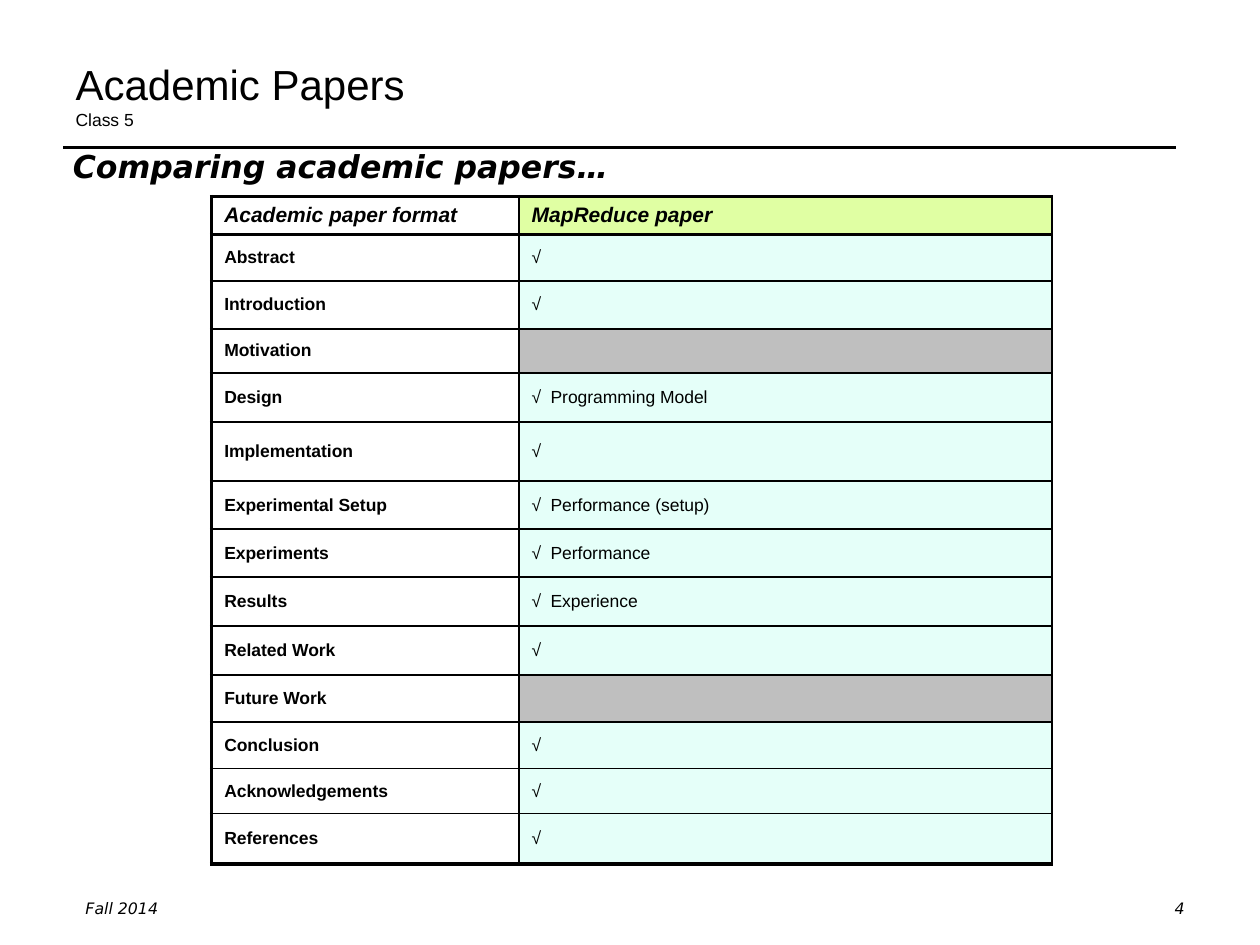
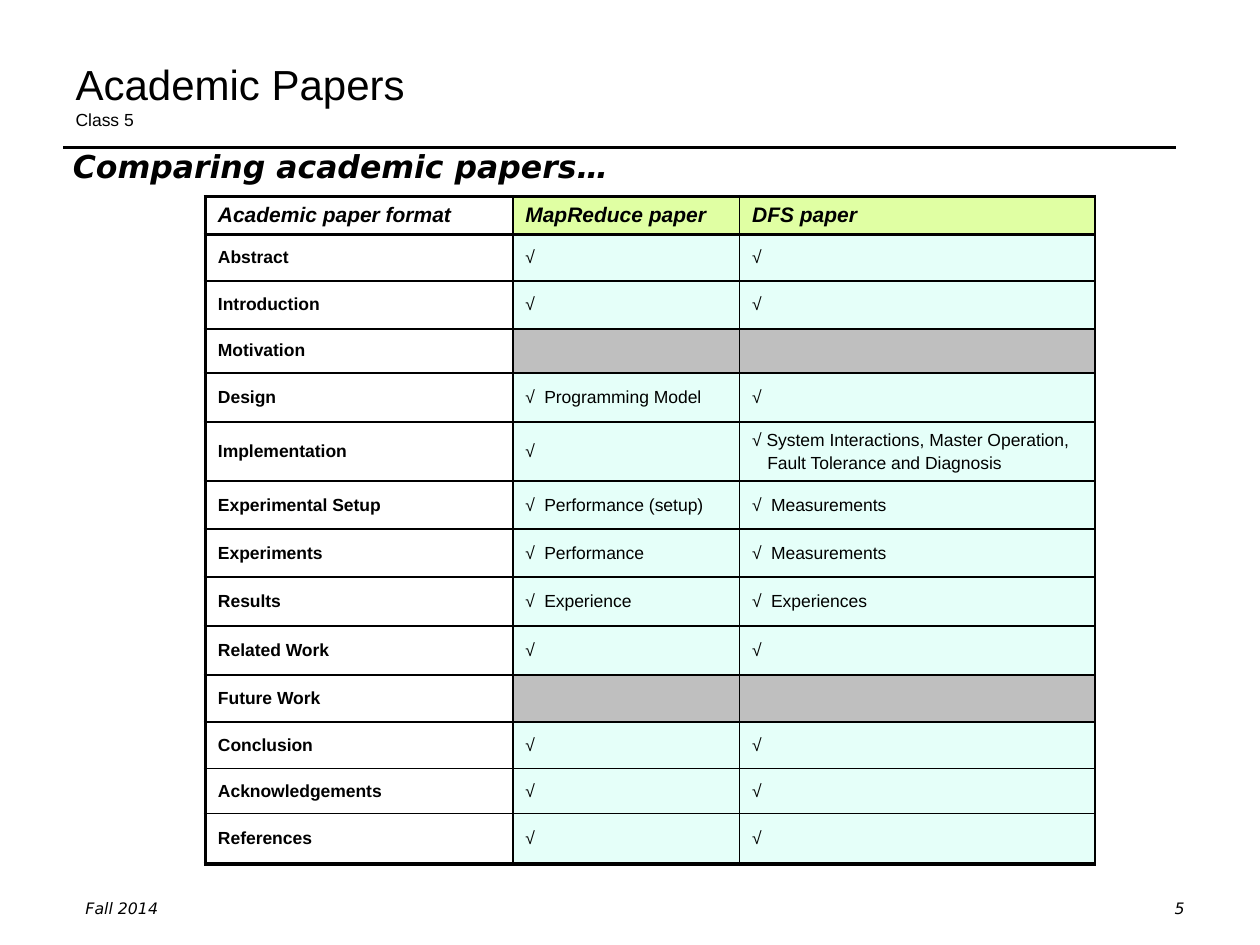
import pptx
import pptx.util
import pptx.dml.color
import pptx.enum.shapes
import pptx.enum.text
import pptx.oxml
import pptx.oxml.ns
import lxml.etree

Inches, Pt = pptx.util.Inches, pptx.util.Pt
ALIGN, ANCHOR = pptx.enum.text.PP_ALIGN, pptx.enum.text.MSO_ANCHOR
BLACK, WHITE, LIME, MINT, GREY = "000000", "FFFFFF", "CCFF66", "00FFCC", "BFBFBF"
SANS, WIDE = "Arial", "DejaVu Sans"
THIN, THICK = 1, 2.25

HEIGHTS = [0.3, 0.37, 0.38, 0.35, 0.39, 0.47, 0.38, 0.38, 0.39, 0.39, 0.37, 0.37, 0.36, 0.4]
PARTS = ["Academic paper format", "Abstract", "Introduction", "Motivation", "Design",
         "Implementation", "Experimental Setup", "Experiments", "Results", "Related Work",
         "Future Work", "Conclusion", "Acknowledgements", "References"]
TICK = "√"
REDUCE = ["MapReduce paper", TICK, TICK, "", "√\tProgramming Model", TICK,
          "√\tPerformance (setup)", "√\tPerformance", "√\tExperience",
          TICK, "", TICK, TICK, TICK]
FILES = ["DFS paper", TICK, TICK, "", TICK,
         "√ System Interactions, Master Operation,\nFault Tolerance and Diagnosis",
         "√\tMeasurements", "√\tMeasurements", "√\tExperiences",
         TICK, "", TICK, TICK, TICK]


def color(code):
    return pptx.dml.color.RGBColor.from_string(code)


def style(font, size, name=SANS, bold=False, italic=False):
    font.size, font.name = Pt(size), name
    font.bold, font.italic = bold, italic
    font.color.rgb = color(BLACK)


def add_text(slide, text, box, size, bold=False, align=ALIGN.LEFT):
    shape = slide.shapes.add_textbox(*map(Inches, box))
    shape.text_frame.word_wrap = True
    para = shape.text_frame.paragraphs[0]
    para.text, para.alignment = text, align
    style(para.font, size, WIDE, bold, True)


def add_rule(slide):
    rule = slide.shapes.add_connector(pptx.enum.shapes.MSO_CONNECTOR.STRAIGHT,
                                      Inches(0.5), Inches(1.17), Inches(9.33), Inches(1.17))
    rule.line.color.rgb = color(BLACK)
    rule.line.width = Pt(1.5)
    lxml.etree.SubElement(rule._element.spPr, pptx.oxml.ns.qn("a:effectLst"))


def set_title(slide):
    title = slide.shapes.title
    title.left, title.top, title.width, title.height = map(Inches, (0.5, 0.3, 9, 0.78))
    frame = title.text_frame
    frame.auto_size = pptx.enum.text.MSO_AUTO_SIZE.NONE
    frame.vertical_anchor = ANCHOR.BOTTOM
    para = frame.paragraphs[0]
    para.alignment = ALIGN.LEFT
    for text, size in (("Academic Papers", 24), ("Class 5", 10)):
        if para.runs:
            para.add_line_break()
        run = para.add_run()
        run.text = text
        style(run.font, size)


def set_edges(cell, left, top, right, bottom):
    props = cell._tc.get_or_add_tcPr()
    for side, width in zip("LRTB", (left, right, top, bottom)):
        props.append(pptx.oxml.parse_xml(
            f'<a:ln{side} {pptx.oxml.ns.nsdecls("a")} w="{Pt(width)}">'
            f'<a:solidFill><a:srgbClr val="{BLACK}"/></a:solidFill></a:ln{side}>'))


def set_fill(cell, code, alpha):
    cell.fill.solid()
    cell.fill.fore_color.rgb = color(code)
    if alpha < 100:
        tag = pptx.oxml.ns.qn
        tint = cell._tc.tcPr.find(tag("a:solidFill")).find(tag("a:srgbClr"))
        lxml.etree.SubElement(tint, tag("a:alpha")).set("val", str(alpha * 1000))


def indent(para, left, first):
    props = para._p.get_or_add_pPr()
    props.set("marL", str(Inches(left)))
    props.set("indent", str(Inches(first)))


def fill_cell(cell, text, row, col):
    cell.vertical_anchor = ANCHOR.MIDDLE
    cell.text = text
    head = row == 0
    for spot, para in enumerate(cell.text_frame.paragraphs):
        style(para.font, 12 if head else 10, bold=head or col == 0, italic=head)
        if "\t" in para.text:      # text hangs behind the tick
            indent(para, 0.15, -0.15)
        if spot:                   # later line lines up behind the tick
            indent(para, 0.12, 0)
            para.space_before = Pt(2)
    if not text:
        cell.margin_top = cell.margin_bottom = 0


def add_grid(slide, left, widths, columns):
    rows = len(PARTS)
    table = slide.shapes.add_table(rows, len(widths), Inches(left), Inches(1.56),
                                   Inches(sum(widths)), Inches(sum(HEIGHTS))).table
    table.first_row = table.horz_banding = False
    for row, height in enumerate(HEIGHTS):
        table.rows[row].height = Inches(height)
    for col, (width, texts) in enumerate(zip(widths, columns)):
        table.columns[col].width = Inches(width)
        for row, text in enumerate(texts):
            cell = table.cell(row, col)
            fill_cell(cell, text, row, col)
            set_edges(cell, THICK if col == 0 else THIN, THICK if row < 2 else THIN,
                      THIN, THICK if row in (0, rows - 1) else THIN)
            if col == 0 and row == 0:
                cell.fill.background()
            elif col == 0:
                set_fill(cell, WHITE, 20)
            elif row == 0:
                set_fill(cell, LIME, 60)
            elif text:
                set_fill(cell, MINT, 10)
            else:
                set_fill(cell, GREY, 100)


def add_page(deck, number, left, widths, columns):
    slide = deck.slides.add_slide(deck.slide_layouts[5])
    # Rule and footers
    add_rule(slide)
    add_text(slide, "Fall 2014", (0.58, 7.08, 2.25, 0.25), 9)
    add_text(slide, str(number), (7.17, 7.08, 2.33, 0.25), 9, align=ALIGN.RIGHT)
    # Comparison and headings
    add_grid(slide, left, widths, columns)
    set_title(slide)
    add_text(slide, "Comparing academic papers…", (0.48, 1.12, 7, 0.4), 18, bold=True)


def main():
    deck = pptx.Presentation()
    deck.slide_width, deck.slide_height = Inches(10), Inches(7.5)
    add_page(deck, 4, 1.68, [2.44, 4.23], [PARTS, REDUCE])
    add_page(deck, 5, 1.63, [2.44, 1.8, 2.82], [PARTS, REDUCE, FILES])
    deck.save("out.pptx")


main()
